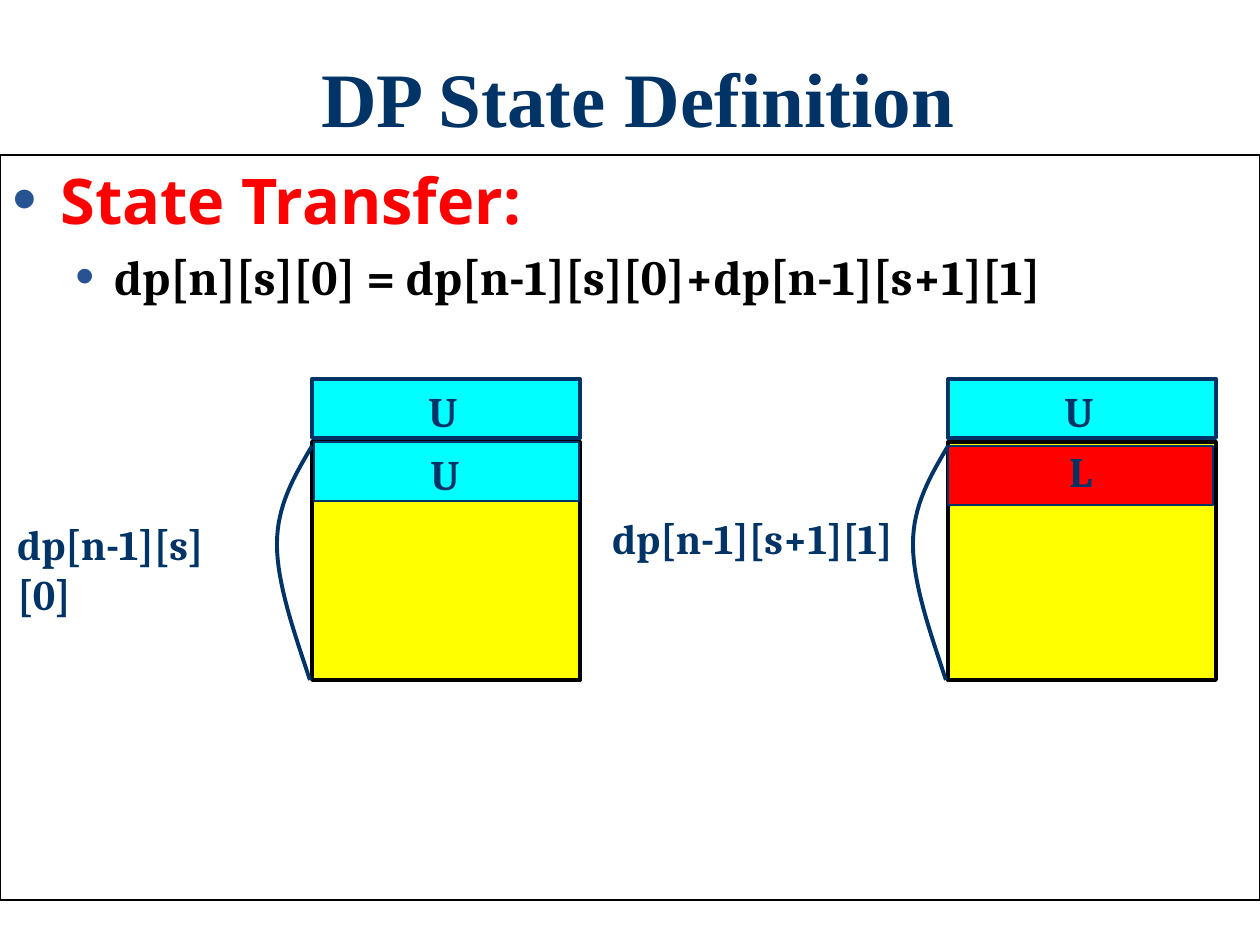
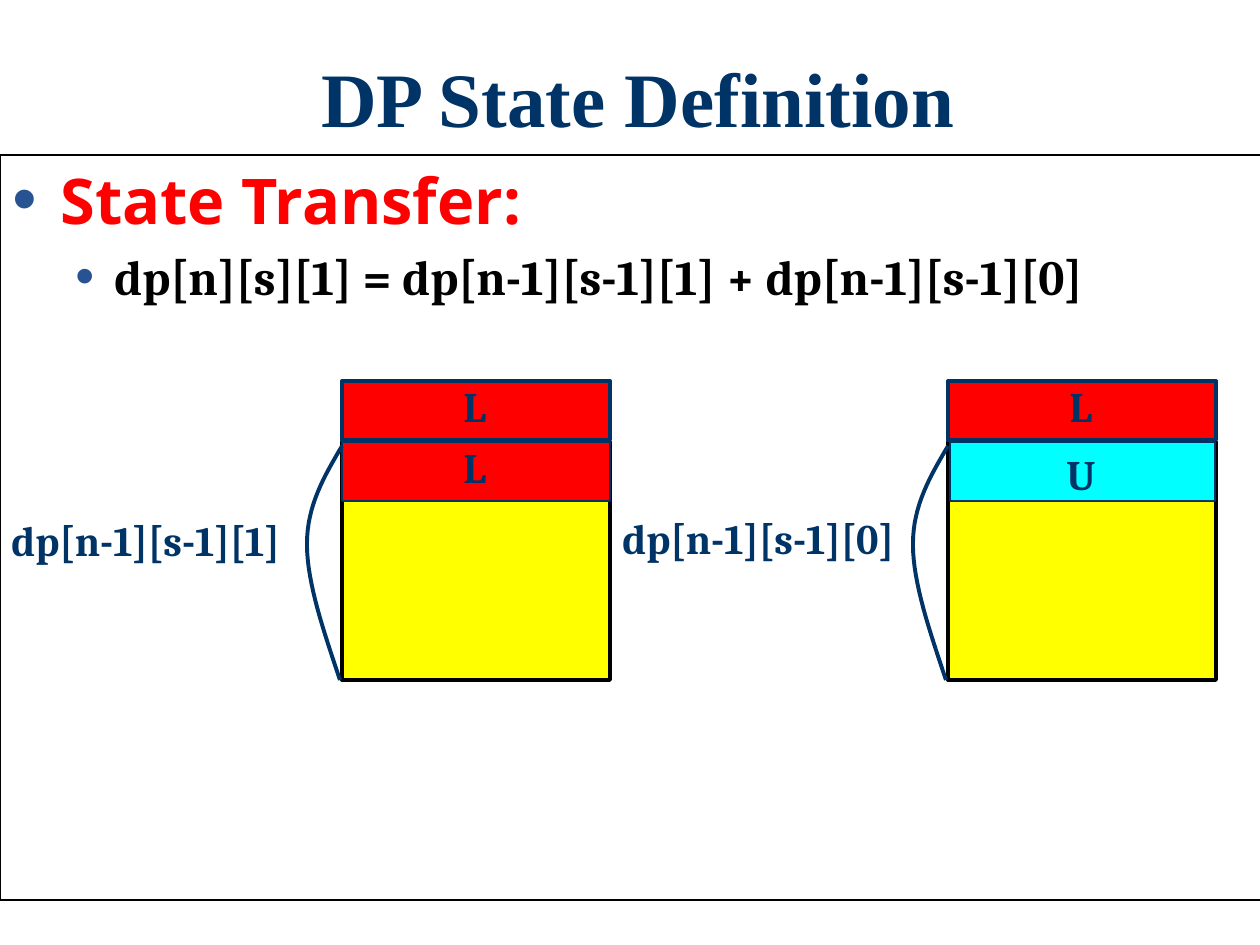
from lxml import etree
from pptx import Presentation
from pptx import util as u
from pptx.dml.color import RGBColor
from pptx.enum import shapes, text
from pptx.oxml import ns

NAVY, RED, CYAN, YELLOW = "003366", "FF0000", "00FFFF", "FFFF00"
BLACK, WHITE, BULLET = "000000", "FFFFFF", "275393"
TITLE = "DP State Definition"
HEADING = "State Transfer:"
SLIDES = [
    {
        "formula": "dp[n][s][0] = dp[n-1][s][0]+dp[n-1][s+1][1]",
        "body_width": 1260,
        "top": 379,
        "stacks": [
            {"left": 312, "letters": "UU", "inner": (314, 442, 265),
             "label": ("dp[n-1][s][0]", 5, 512, 255)},
            {"left": 948, "letters": "UL", "inner": (948, 446, 265),
             "label": ("dp[n-1][s+1][1]", 600, 506, 314)},
        ],
    },
    {
        "formula": "dp[n][s][1] = dp[n-1][s-1][1] + dp[n-1][s-1][0]",
        "body_width": 1264,
        "top": 381,
        "stacks": [
            {"left": 342, "letters": "LL", "inner": (342, 442, 268),
             "label": ("dp[n-1][s-1][1]", -1, 508, 297)},
            {"left": 948, "letters": "LU", "inner": (950, 442, 265),
             "label": ("dp[n-1][s-1][0]", 610, 506, 309)},
        ],
    },
]
CELLS = {"U": (CYAN, 104, 0, 54), "L": (RED, 109, -7, 49)}
STACK_TOP, STACK_WIDTH, STACK_HEIGHT, CELL_HEIGHT = 442, 268, 238, 59
BRACE = [
    [(0, 446), (-17, 475), (-35, 505), (-35, 544)],
    [(-35, 544), (-35, 583), (-18, 632), (-2, 680)],
]
BRACE_STEPS = 16


def px(length):
    return round(length * 914400 / 126)


def color(value):
    return RGBColor.from_string(value)


def style(para, size, font, hue):
    for span in para.runs:
        span.font.size = u.Pt(size)
        span.font.name = font
        span.font.bold = True
        span.font.color.rgb = color(hue)


def add_text(page, words, area, size=24, font="Cambria"):
    box = page.shapes.add_textbox(*map(px, area))
    frame = box.text_frame
    frame.word_wrap = True
    frame.text = words
    style(frame.paragraphs[0], size, font, NAVY)
    return frame


def add_box(page, area, fill, line, width):
    box = page.shapes.add_shape(shapes.MSO_SHAPE.RECTANGLE, *map(px, area))
    box.shadow.inherit = False
    box.fill.solid()
    box.fill.fore_color.rgb = color(fill)
    box.line.color.rgb = color(line)
    box.line.width = u.Pt(width)
    return box


def add_bullet(para, margin, hang):
    props = para._p.get_or_add_pPr()
    props.set("marL", str(px(margin)))
    props.set("indent", str(-px(hang)))
    hue = etree.SubElement(props, ns.qn("a:buClr"))
    etree.SubElement(hue, ns.qn("a:srgbClr"), val=BULLET)
    etree.SubElement(props, ns.qn("a:buSzPct"), val="110000")
    etree.SubElement(props, ns.qn("a:buFont"), typeface="Arial")
    etree.SubElement(props, ns.qn("a:buChar"), char="•")


def add_title(page):
    frame = add_text(page, TITLE, (134, 45, 1008, 116), 44, "Times New Roman")
    frame.vertical_anchor = text.MSO_ANCHOR.MIDDLE
    frame.paragraphs[0].alignment = text.PP_ALIGN.CENTER
    frame.paragraphs[0].line_spacing = 0.9


def add_body(page, formula, width):
    frame = add_box(page, (0, 155, width, 745), WHITE, BLACK, 0.75).text_frame
    frame.word_wrap = True
    frame.vertical_anchor = text.MSO_ANCHOR.TOP
    lines = [
        (HEADING, 36, "Noto Sans", RED, 48, 48),
        (formula, 28, "Cambria", BLACK, 102, 39),
    ]
    frame.text = "\n".join(line[0] for line in lines)
    for level, (para, line) in enumerate(zip(frame.paragraphs, lines)):
        _, size, font, hue, margin, hang = line
        para.level = level
        para.alignment = text.PP_ALIGN.LEFT
        para.space_before = u.Pt(size * 0.2)
        style(para, size, font, hue)
        add_bullet(para, margin, hang)


def curve_point(controls, step):
    t = step / BRACE_STEPS
    weights = ((1 - t) ** 3, 3 * t * (1 - t) ** 2, 3 * t * t * (1 - t), t ** 3)
    return [sum(w * point[axis] for w, point in zip(weights, controls))
            for axis in (0, 1)]


def add_brace(page, left):
    points = [curve_point(controls, step)
              for controls in BRACE for step in range(BRACE_STEPS + 1)]
    points = [(px(left + x), px(y)) for x, y in points]
    builder = page.shapes.build_freeform(*points[0], scale=1)
    builder.add_line_segments(points[1:], close=False)
    brace = builder.convert_to_shape()
    brace.shadow.inherit = False
    brace.fill.background()
    brace.line.color.rgb = color(NAVY)
    brace.line.width = u.Pt(2.25)


def add_cell(page, letter, left, top, width, line):
    fill, shift, rise, letter_width = CELLS[letter]
    add_box(page, (left, top, width, CELL_HEIGHT), fill, NAVY, line)
    add_text(page, letter, (left + shift, top + rise, letter_width, 63))


def add_stack(page, stack, top):
    left = stack["left"]
    outer, inner = stack["letters"]
    words, *label_area = stack["label"]
    add_box(page, (left, STACK_TOP, STACK_WIDTH, STACK_HEIGHT), YELLOW, BLACK, 2.25)
    add_text(page, words, (*label_area, 63))
    add_cell(page, inner, *stack["inner"], 0.75)
    add_brace(page, left)
    add_cell(page, outer, left, top, STACK_WIDTH, 2.25)


def main():
    deck = Presentation()
    deck.slide_width, deck.slide_height = px(1260), px(945)
    for content in SLIDES:
        page = deck.slides.add_slide(deck.slide_layouts[6])
        add_title(page)
        add_body(page, content["formula"], content["body_width"])
        for stack in content["stacks"]:
            add_stack(page, stack, content["top"])
    deck.save("out.pptx")


if __name__ == "__main__":
    main()
